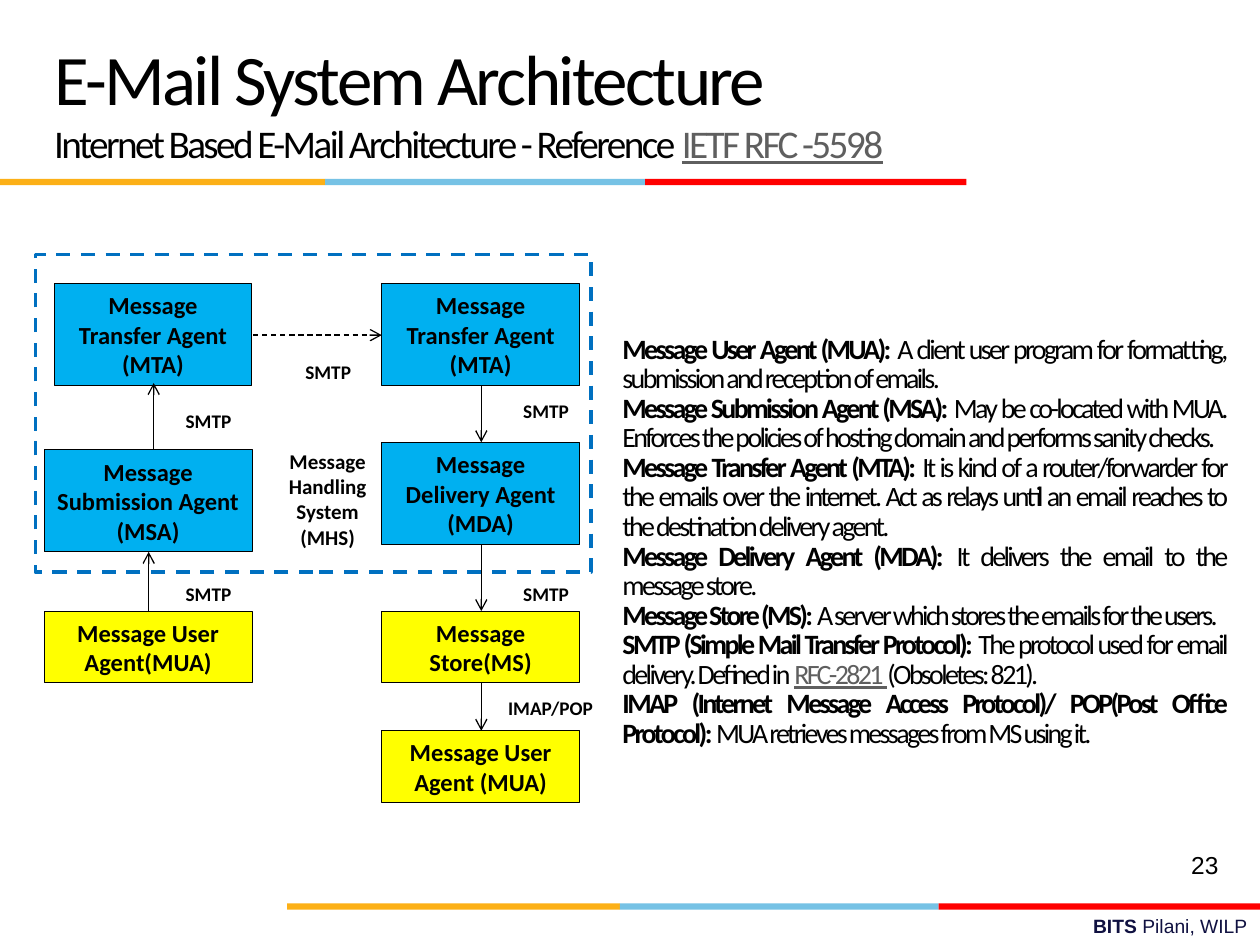
from dataclasses import dataclass
from typing import NamedTuple

from lxml import etree
from pptx import Presentation
from pptx.dml.color import RGBColor
from pptx.enum.dml import MSO_LINE
from pptx.enum.shapes import MSO_CONNECTOR, MSO_SHAPE
from pptx.enum.text import MSO_ANCHOR, MSO_AUTO_SIZE, PP_ALIGN
from pptx.oxml.ns import qn
from pptx.util import Inches, Pt

RECTANGLE, STRAIGHT = MSO_SHAPE.RECTANGLE, MSO_CONNECTOR.STRAIGHT
DASH = MSO_LINE.DASH
TOP, MIDDLE = MSO_ANCHOR.TOP, MSO_ANCHOR.MIDDLE
LEFT, CENTER, RIGHT, JUSTIFY = (PP_ALIGN.LEFT, PP_ALIGN.CENTER,
                                PP_ALIGN.RIGHT, PP_ALIGN.JUSTIFY)


@dataclass(frozen=True)
class Theme:
    black: str = "000000"
    link: str = "5F5F5F"
    footer: str = "101141"
    amber: str = "FCB017"
    sky: str = "76C2E5"
    red: str = "FF0000"
    server: str = "00B0F0"
    client: str = "FFFF00"
    frame: str = "0070C0"
    font: str = "Calibri"
    footer_font: str = "Arial"
    title_size: float = 40.6
    subtitle_size: float = 22.4
    body_size: float = 16
    agent_size: float = 14
    caption_size: float = 12
    label_size: float = 11
    tracking: float = -1.5


THEME = Theme()


class Box(NamedTuple):
    left: float
    top: float
    width: float
    height: float


class Run(NamedTuple):
    text: str
    size: float
    bold: bool = False
    color: str = THEME.black
    font: str = THEME.font
    underline: bool = False
    tracking: float = 0


class Agent(NamedTuple):
    lines: list[str]
    box: Box
    fill: str


class Arrow(NamedTuple):
    start: tuple[float, float]
    end: tuple[float, float]
    dashed: bool = False


class Label(NamedTuple):
    text: str
    box: Box
    size: float = THEME.label_size


LEFT_X, RIGHT_X, SUBMIT_X = 0.43, 3.03, 0.35
AGENT_W, SUBMIT_W = 1.57, 1.65
SERVER_H, CLIENT_H = 0.81, 0.57
TRANSFER_Y, DELIVERY_Y, SUBMIT_Y, CLIENT_Y, READER_Y = 2.25, 3.51, 3.57, 4.85, 5.8
RIGHT_MID, LABEL_W, LABEL_H = 3.82, 0.87, 0.29
TRANSFER = ["Message Transfer Agent (MTA)"]

AGENTS = [
    Agent(["Message Submission Agent", "(MSA)"],
          Box(SUBMIT_X, SUBMIT_Y, SUBMIT_W, SERVER_H), THEME.server),
    Agent(TRANSFER, Box(LEFT_X, TRANSFER_Y, AGENT_W, SERVER_H), THEME.server),
    Agent(TRANSFER, Box(RIGHT_X, TRANSFER_Y, AGENT_W, SERVER_H), THEME.server),
    Agent(["Message Delivery Agent (MDA)"],
          Box(RIGHT_X, DELIVERY_Y, AGENT_W, SERVER_H), THEME.server),
    Agent(["Message Store(MS)"],
          Box(RIGHT_X, CLIENT_Y, AGENT_W, CLIENT_H), THEME.client),
    Agent(["Message User Agent(MUA)"],
          Box(SUBMIT_X, CLIENT_Y, SUBMIT_W, CLIENT_H), THEME.client),
    Agent(["Message User Agent (MUA)"],
          Box(RIGHT_X, READER_Y, AGENT_W, CLIENT_H), THEME.client),
]
ARROWS = [
    Arrow((1.18, CLIENT_Y), (1.18, SUBMIT_Y + SERVER_H)),
    Arrow((1.22, SUBMIT_Y), (1.22, 3.04)),
    Arrow((2.01, 2.66), (RIGHT_X, 2.66), dashed=True),
    Arrow((RIGHT_MID, TRANSFER_Y + SERVER_H), (RIGHT_MID, DELIVERY_Y)),
    Arrow((RIGHT_MID, DELIVERY_Y + SERVER_H), (RIGHT_MID, CLIENT_Y)),
    Arrow((RIGHT_MID, CLIENT_Y + CLIENT_H), (RIGHT_MID, READER_Y)),
]
SMTP_SPOTS = [(1.22, 4.57), (1.22, 3.2), (2.17, 2.81), (3.9, 3.12), (3.9, 4.57)]
LABELS = [
    Label("Message Handling System (MHS)", Box(2.09, 3.51, 1.02, 0.91),
          THEME.caption_size),
    *(Label("SMTP", Box(x, y, LABEL_W, LABEL_H)) for x, y in SMTP_SPOTS),
    Label("IMAP/POP", Box(3.9, 5.48, 0.94, LABEL_H)),
]
# Each definition is a term, its explanation, then optional link and closing text.
DEFINITIONS = [
    ("Message User Agent (MUA):",
     " A client user program for formatting, submission and reception of emails."),
    ("Message Submission Agent (MSA):",
     " May be co-located with MUA. Enforces the policies of hosting domain and "
     "performs sanity checks."),
    ("Message Transfer Agent (MTA):",
     " It is kind of a router/forwarder for the emails over the internet. Act as "
     "relays until an email reaches to the destination delivery agent."),
    ("Message Delivery Agent (MDA):", " It delivers the email to the message store."),
    ("Message Store (MS):", " A server which stores the emails for the users."),
    ("SMTP (Simple Mail Transfer Protocol):",
     " The protocol used for email delivery. Defined in ", "RFC-2821 ",
     "(Obsoletes: 821)."),
    ("IMAP (Internet Message Access Protocol)/ POP(Post Office Protocol):",
     " MUA retrieves messages from MS using it."),
]


def inches(values) -> list:
    return [Inches(value) for value in values]


def write(shape, paragraphs: list[list[Run]], align=CENTER, anchor=MIDDLE,
          line_spacing: float = 1.0) -> None:
    frame = shape.text_frame
    frame_format = {"word_wrap": True, "auto_size": MSO_AUTO_SIZE.NONE,
                    "vertical_anchor": anchor}
    for key, value in frame_format.items():
        setattr(frame, key, value)
    paragraph_format = {"alignment": align, "line_spacing": line_spacing,
                        "space_before": Pt(0), "space_after": Pt(0)}
    for index, runs in enumerate(paragraphs):
        paragraph = frame.add_paragraph() if index else frame.paragraphs[0]
        for key, value in paragraph_format.items():
            setattr(paragraph, key, value)
        for item in runs:
            run = paragraph.add_run()
            run.text = item.text
            font_format = {"name": item.font, "size": Pt(item.size),
                           "bold": item.bold, "underline": item.underline}
            for key, value in font_format.items():
                setattr(run.font, key, value)
            run.font.color.rgb = RGBColor.from_string(item.color)
            if item.tracking:
                run.font._element.set("spc", str(int(item.tracking * 100)))


def place(shape, box: Box) -> None:
    for key, value in zip(("left", "top", "width", "height"), inches(box)):
        setattr(shape, key, value)


def add_rectangle(slide, box: Box, fill: str = "", line: str = "", weight: float = 0):
    shape = slide.shapes.add_shape(RECTANGLE, *inches(box))
    shape.shadow.inherit = False
    if fill:
        shape.fill.solid()
        shape.fill.fore_color.rgb = RGBColor.from_string(fill)
    else:
        shape.fill.background()
    if line:
        shape.line.color.rgb = RGBColor.from_string(line)
        shape.line.width = Pt(weight)
    else:
        shape.line.fill.background()
    return shape


def add_stripe(slide, top: float, edges: list[float]) -> None:
    """Draw the three-colour band between four consecutive x positions."""
    for color, start, end in zip((THEME.amber, THEME.sky, THEME.red), edges, edges[1:]):
        add_rectangle(slide, Box(start, top, end - start, 0.05), color)


def add_arrow(slide, arrow: Arrow) -> None:
    connector = slide.shapes.add_connector(STRAIGHT, *inches(arrow.start + arrow.end))
    connector.line.color.rgb = RGBColor.from_string(THEME.black)
    connector.line.width = Pt(0.75)
    if arrow.dashed:
        connector.line.dash_style = DASH
    etree.SubElement(connector.line._get_or_add_ln(), qn("a:tailEnd"), type="arrow")
    etree.SubElement(connector._element.spPr, qn("a:effectLst"))


def add_text(slide, box: Box, runs: list[Run], align=CENTER, anchor=TOP) -> None:
    write(slide.shapes.add_textbox(*inches(box)), [runs], align, anchor)


def fill_title(title) -> None:
    place(title, Box(0.33, 0.17, 6.92, 1.25))
    write(title, [
        [Run("E-Mail System Architecture", THEME.title_size, tracking=THEME.tracking)],
        [Run("Internet Based E-Mail Architecture - Reference ", THEME.subtitle_size,
             tracking=THEME.tracking),
         Run("IETF RFC -5598", THEME.subtitle_size, color=THEME.link, underline=True,
             tracking=THEME.tracking)],
    ], LEFT)


def fill_definitions(body) -> None:
    place(body, Box(4.84, 1.47, 4.99, 5.67))
    styles = [{"bold": True}, {}, {"color": THEME.link, "underline": True}, {}]
    write(body, [[Run(text, THEME.body_size, tracking=THEME.tracking, **style)
                  for text, style in zip(parts, styles)] for parts in DEFINITIONS],
          JUSTIFY, line_spacing=0.88)
    for paragraph in body.text_frame.paragraphs:
        properties = paragraph._p.get_or_add_pPr()
        properties.set("marL", "0")
        properties.set("indent", "0")
        etree.SubElement(properties, qn("a:buNone"))


def main() -> None:
    deck = Presentation()
    deck.slide_width, deck.slide_height = Inches(10), Inches(7.5)
    slide = deck.slides.add_slide(deck.slide_layouts[1])
    add_stripe(slide, 7.17, [2.28, 4.92, 7.45, 10])
    add_stripe(slide, 1.42, [0, 2.58, 5.12, 7.67])
    fill_title(slide.shapes.title)
    fill_definitions(slide.placeholders[1])
    for agent in AGENTS:
        shape = add_rectangle(slide, agent.box, agent.fill, THEME.black, 0.5)
        write(shape, [[Run(line, THEME.agent_size, True)] for line in agent.lines])
    for arrow in ARROWS:
        add_arrow(slide, arrow)
    handling_frame = add_rectangle(slide, Box(0.28, 2.02, 4.41, 2.52),
                                   line=THEME.frame, weight=2)
    handling_frame.line.dash_style = DASH
    for label in LABELS:
        add_text(slide, label.box, [Run(label.text, label.size, True)])
    add_text(slide, Box(7.44, 6.66, 2.33, 0.4),
             [Run("23", THEME.agent_size, font=THEME.footer_font)], RIGHT, MIDDLE)
    add_text(slide, Box(3.58, 7.21, 6.42, 0.29),
             [Run(text, THEME.label_size, bold, THEME.footer, THEME.footer_font)
              for text, bold in (("BITS ", True), ("Pilani, WILP", False))], RIGHT)
    deck.save("out.pptx")


if __name__ == "__main__":
    main()
